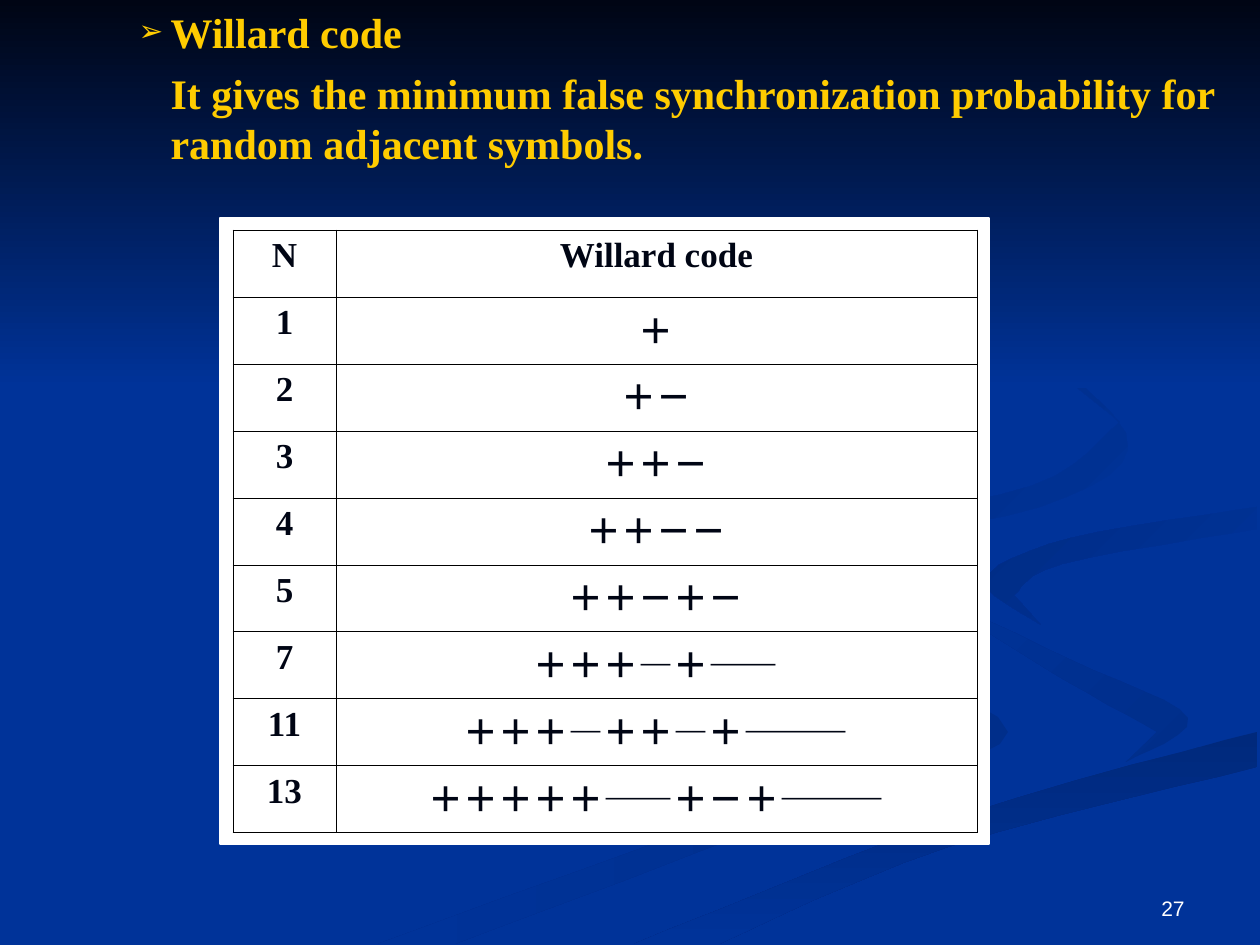
import dataclasses
import typing

import pptx
import pptx.dml.color
import pptx.enum.shapes
import pptx.enum.text
import pptx.oxml
import pptx.oxml.ns
import pptx.util

PX = 914400 / 126  # EMU in one px
ALIGN = pptx.enum.text.PP_ALIGN
ANCHOR = pptx.enum.text.MSO_ANCHOR


@dataclasses.dataclass(frozen=True)
class Theme:
    blue: str = "003399"
    night: str = "000514"
    gold: str = "FFCC00"
    white: str = "FFFFFF"
    grid: str = "000000"
    serif: str = "Times New Roman"
    sans: str = "Arial"
    body: int = 24
    cell: int = 20
    number: int = 12


THEME = Theme()


@dataclasses.dataclass(frozen=True)
class Ribbon:
    start: str
    end: str
    angle: int  # clockwise degrees
    outer: tuple
    inner: tuple


class CodeRow(typing.NamedTuple):
    length: str
    code: str


RIBBONS = (
    Ribbon("002E8A", THEME.blue, 180,
           ((725, 578), (856, 654), (989, 708), (822, 781), (378, 944)),
           ((455, 944), (820, 806), (1008, 732), (833, 646))),
    Ribbon("002E8A", THEME.blue, 225,
           ((912, 585), (1071, 660), (1188, 718), (1126, 762)),
           ((1157, 732), (1056, 675))),
    Ribbon("00297C", THEME.blue, 90,
           ((634, 944), (963, 815), (1257, 732)),
           ((1257, 767), (948, 847), (719, 944))),
    Ribbon(THEME.blue, "002C85", 225,
           ((1041, 625), (985, 580), (1071, 538), (1257, 507)),
           ((1257, 529), (1062, 564), (1014, 595))),
    Ribbon(THEME.blue, "002B81", 225,
           ((960, 294), (1126, 433), (1040, 507), (800, 554), (784, 630)),
           ((728, 590), (800, 532), (1031, 486), (1120, 422))),
)

ROWS = (
    CodeRow("N", "Willard code"),
    CodeRow("1", "＋"),
    CodeRow("2", "＋－"),
    CodeRow("3", "＋＋－"),
    CodeRow("4", "＋＋－－"),
    CodeRow("5", "＋＋－＋－"),
    CodeRow("7", "＋＋＋―＋――"),
    CodeRow("11", "＋＋＋―＋＋―＋―――"),
    CodeRow("13", "＋＋＋＋＋――＋－＋―――"),
)


def px(value: int) -> pptx.util.Emu:
    return pptx.util.Emu(round(value * PX))


def rgb(code: str) -> pptx.dml.color.RGBColor:
    return pptx.dml.color.RGBColor.from_string(code)


def add_xml(parent, markup: str) -> None:
    """Append one element, written without its namespace declaration."""
    holder = pptx.oxml.parse_xml(f"<a:p {pptx.oxml.ns.nsdecls('a')}>{markup}</a:p>")
    parent.append(holder[0])


def smooth(knots: tuple, steps: int = 6) -> list:
    """Points of a Catmull-Rom curve through the knots."""
    padded = (knots[0], *knots, knots[-1])
    points = []
    for before, start, end, after in zip(padded, padded[1:], padded[2:], padded[3:]):
        for step in range(steps):
            t = step / steps
            points.append(tuple(
                (2 * b + (c - a) * t + (2 * a - 5 * b + 4 * c - d) * t ** 2
                 + (3 * b - a - 3 * c + d) * t ** 3) / 2
                for a, b, c, d in zip(before, start, end, after)))
    return points + [knots[-1]]


def write(para, text: str, *, size: int, color: str, font: str = THEME.serif,
          bold: bool = True, align=ALIGN.LEFT) -> None:
    para.alignment = align
    span = para.add_run()
    span.text = text
    span.font.size = pptx.util.Pt(size)
    span.font.name = font
    span.font.bold = bold
    span.font.color.rgb = rgb(color)


def paint_gradient(shape, start: str, end: str, angle: int) -> None:
    shape.shadow.inherit = False
    shape.line.fill.background()
    shape.fill.gradient()
    shape.fill.gradient_angle = 360 - angle
    for stop, color in zip(shape.fill.gradient_stops, (start, end)):
        stop.color.rgb = rgb(color)


def draw_ribbon(page, ribbon: Ribbon) -> None:
    outline = smooth(ribbon.outer) + smooth(ribbon.inner)
    builder = page.shapes.build_freeform(*outline[0], scale=PX)
    builder.add_line_segments(outline[1:], close=True)
    paint_gradient(builder.convert_to_shape(), ribbon.start, ribbon.end, ribbon.angle)


def add_rectangle(page, left: int, top: int, width: int, height: int):
    return page.shapes.add_shape(pptx.enum.shapes.MSO_SHAPE.RECTANGLE,
                                 px(left), px(top), px(width), px(height))


def draw_panel(page) -> None:
    panel = add_rectangle(page, 220, 218, 769, 626)
    panel.shadow.inherit = False
    panel.fill.solid()
    panel.fill.fore_color.rgb = rgb(THEME.white)
    panel.line.color.rgb = rgb(THEME.white)
    panel.line.width = pptx.util.Pt(0.75)


def fill_body(page) -> None:
    box = page.placeholders[1]
    page.shapes.element.append(box.element)  # in front of the backdrop
    box.left, box.top, box.width, box.height = px(0), px(0), px(1260), px(945)
    frame = box.text_frame
    frame.auto_size = pptx.enum.text.MSO_AUTO_SIZE.NONE
    frame.vertical_anchor = ANCHOR.TOP
    heading, detail = frame.paragraphs[0], frame.add_paragraph()
    bullet = (f'<a:buClr><a:srgbClr val="{THEME.gold}"/></a:buClr>', '<a:buSzPct val="70000"/>',
              f'<a:buFont typeface="{THEME.sans}"/>', '<a:buChar char="➢"/>')
    for para, text, indent, before, marks in (
            (heading, "Willard code", -32, 0, bullet),
            (detail, "It gives the minimum false synchronization probability for "
                     "random adjacent symbols.", 0, 6, ("<a:buNone/>",))):
        para.level = 2
        para.space_before = pptx.util.Pt(before)
        properties = para._p.get_or_add_pPr()
        properties.set("marL", str(px(170 - 12)))
        properties.set("indent", str(px(indent)))
        for mark in marks:
            add_xml(properties, mark)
        write(para, text, size=THEME.body, color=THEME.gold)


def draw_table(page) -> None:
    widths, row_height = (103, 641), 67
    table = page.shapes.add_table(len(ROWS), len(widths), px(233), px(230), px(sum(widths)),
                                  px(row_height * len(ROWS))).table
    table.first_row = table.horz_banding = False
    for column, width in zip(table.columns, widths):
        column.width = px(width)
    for row, entry in zip(table.rows, ROWS):
        row.height = px(row_height)
        for cell, text in zip(row.cells, entry):
            for side in "LRTB":
                add_xml(cell._tc.get_or_add_tcPr(),
                        f'<a:ln{side} w="5715"><a:solidFill><a:srgbClr val="{THEME.grid}"/>'
                        f'</a:solidFill></a:ln{side}>')
            cell.fill.background()
            write(cell.text_frame.paragraphs[0], text, size=THEME.cell, color=THEME.night,
                  align=ALIGN.CENTER)


def draw_page_number(page) -> None:
    box = page.shapes.add_textbox(px(903), px(861), px(294), px(66))
    box.text_frame.word_wrap = True
    box.text_frame.vertical_anchor = ANCHOR.BOTTOM
    write(box.text_frame.paragraphs[0], "27", size=THEME.number, color=THEME.white,
          font=THEME.sans, bold=False, align=ALIGN.RIGHT)


def main() -> None:
    deck = pptx.Presentation()
    deck.slide_width, deck.slide_height = px(1260), px(945)
    page = deck.slides.add_slide(deck.slide_layouts[1])
    title = page.shapes.title.element
    title.getparent().remove(title)

    # Backdrop
    page.background.fill.solid()
    page.background.fill.fore_color.rgb = rgb(THEME.blue)
    for ribbon in RIBBONS:
        draw_ribbon(page, ribbon)
    paint_gradient(add_rectangle(page, 0, 0, 1260, 388), THEME.night, THEME.blue, 90)

    # Content
    draw_panel(page)
    fill_body(page)
    draw_table(page)
    draw_page_number(page)
    deck.save("out.pptx")


if __name__ == "__main__":
    main()
